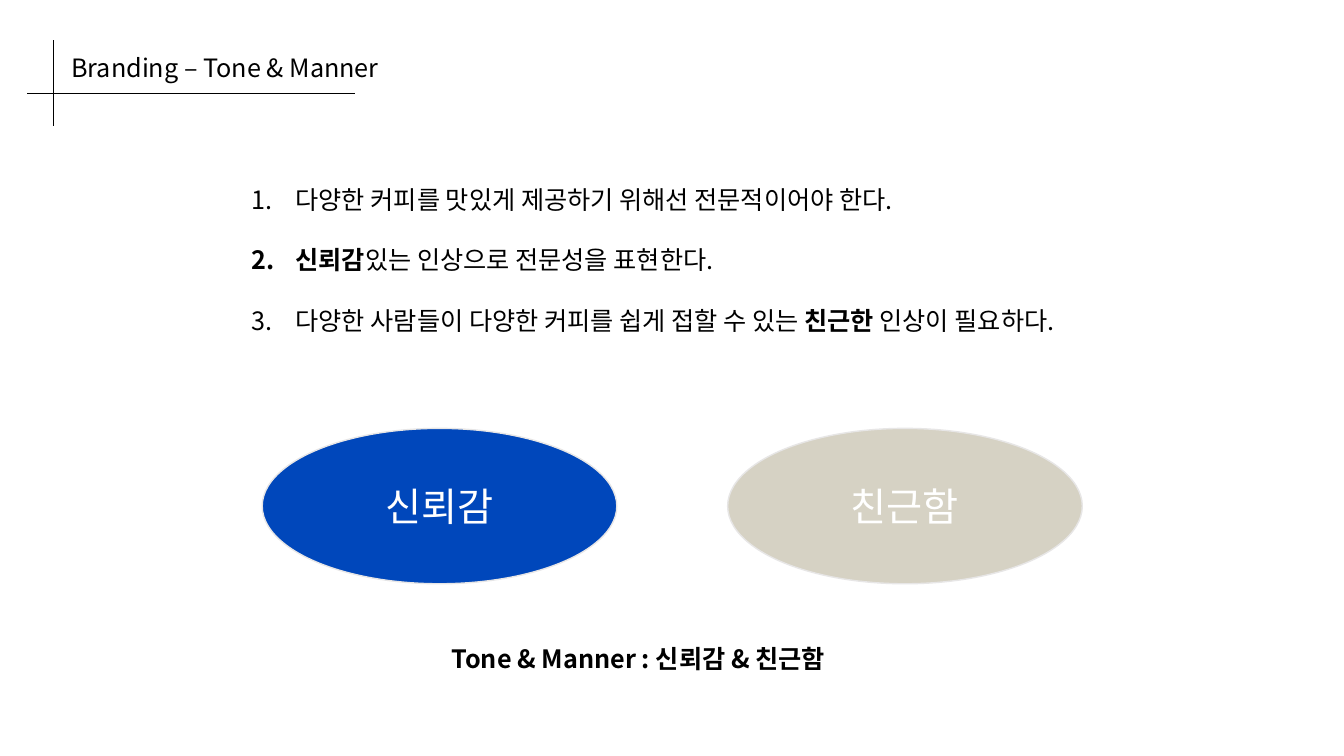
from pptx import Presentation
from pptx.dml.color import RGBColor
from pptx.enum.shapes import MSO_CONNECTOR, MSO_SHAPE
from pptx.enum.text import MSO_ANCHOR, PP_ALIGN
from pptx.oxml.ns import qn
from pptx.util import Pt
from lxml.etree import SubElement

FONT = "Noto Sans CJK KR"
COLORS = {
    "ink": "000000",
    "white": "FFFFFF",
    "edge": "E7E6E6",
    "trust": "0047BB",
    "warm": "D6D2C4",
}
POINTS = [
    "다양한 커피를 맛있게 제공하기 위해선 전문적이어야 한다.",
    "*신뢰감*있는 인상으로 전문성을 표현한다.",
    "다양한 사람들이 다양한 커피를 쉽게 접할 수 있는 *친근한* 인상이 필요하다.",
]
MOODS = [("신뢰감", "trust"), ("친근함", "warm")]


def color(name):
    return RGBColor.from_string(COLORS[name])


def apply(target, values):
    for name, value in values.items():
        setattr(target, name, value)


def add_run(para, text, size=18, bold=False, tint="ink"):
    run = para.add_run()
    run.text = text
    apply(run.font, {"name": FONT, "size": Pt(size), "bold": bold})
    run.font.color.rgb = color(tint)
    SubElement(run.font._element, qn("a:ea"), typeface=FONT)


def set_frame(shape, wrap=True, anchor=MSO_ANCHOR.TOP):
    frame = shape.text_frame
    apply(frame, {
        "word_wrap": wrap,
        "vertical_anchor": anchor,
        "margin_left": Pt(7.2),
        "margin_right": Pt(7.2),
        "margin_top": Pt(3.6),
        "margin_bottom": Pt(3.6),
    })
    return frame


def add_line(slide, x1, y1, x2, y2):
    line = slide.shapes.add_connector(
        MSO_CONNECTOR.STRAIGHT, Pt(x1), Pt(y1), Pt(x2), Pt(y2))
    line.line.color.rgb = color("ink")
    line.line.width = Pt(0.5)
    SubElement(line._element.spPr, qn("a:effectLst"))


def set_title(slide, text, left, top, width, height):
    title = slide.shapes.title
    apply(title, {"left": Pt(left), "top": Pt(top),
                  "width": Pt(width), "height": Pt(height)})
    para = set_frame(title).paragraphs[0]
    para.alignment = PP_ALIGN.LEFT
    add_run(para, text)


def add_text(slide, left, top, width, height, wrap=True):
    box = slide.shapes.add_textbox(Pt(left), Pt(top), Pt(width), Pt(height))
    return set_frame(box, wrap)


def add_list(slide, items, left, top, width, height):
    frame = add_text(slide, left, top, width, height, False)
    for index, item in enumerate(items):
        para = frame.add_paragraph() if index else frame.paragraphs[0]
        para.space_before = Pt(21.6 if index else 0)
        props = para._p.get_or_add_pPr()
        props.set("marL", str(Pt(31.5)))
        props.set("indent", str(-Pt(31.5)))
        SubElement(props, qn("a:buFont"), typeface="+mj-lt")
        SubElement(props, qn("a:buAutoNum"), type="arabicPeriod")
        for part, text in enumerate(item.split("*")):
            if text:
                add_run(para, text, bold=part % 2 == 1)


def add_oval(slide, text, fill, left, top, width, height):
    oval = slide.shapes.add_shape(
        MSO_SHAPE.OVAL, Pt(left), Pt(top), Pt(width), Pt(height))
    oval.shadow.inherit = False
    oval.fill.solid()
    oval.fill.fore_color.rgb = color(fill)
    oval.line.color.rgb = color("edge")
    oval.line.width = Pt(1)
    para = set_frame(oval, anchor=MSO_ANCHOR.MIDDLE).paragraphs[0]
    para.alignment = PP_ALIGN.CENTER
    add_run(para, text, 28, tint="white")


def main():
    deck = Presentation()
    apply(deck, {"slide_width": Pt(960), "slide_height": Pt(540)})
    slide = deck.slides.add_slide(deck.slide_layouts[5])
    add_line(slide, 19.6, 66.5, 253.5, 66.5)
    add_line(slide, 38, 28.8, 38, 90)
    set_title(slide, "Branding – Tone & Manner", 43.7, 34, 258, 29)
    add_list(slide, POINTS, 172.5, 128, 668, 116.6)
    for index, (mood, fill) in enumerate(MOODS):
        add_oval(slide, mood, fill, 187.3 + 332.5 * index, 306, 253.3, 111)
    foot = add_text(slide, 315.5, 456, 319, 29.5)
    add_run(foot.paragraphs[0], "Tone & Manner : 신뢰감 & 친근함", bold=True)
    deck.save("out.pptx")


if __name__ == "__main__":
    main()
